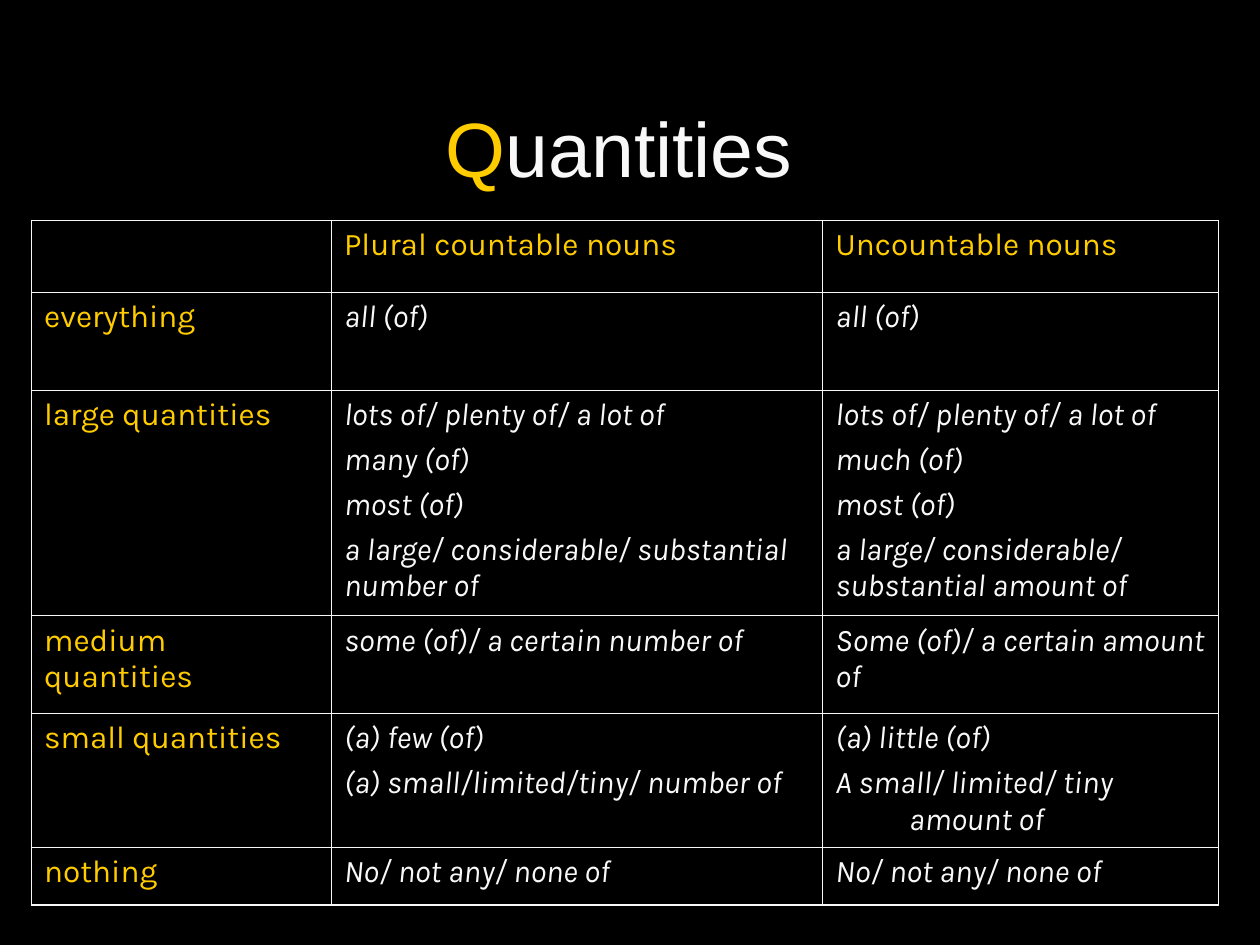
"""Build a slide that tabulates quantity expressions by kind of noun."""
import dataclasses

import lxml.etree
import pptx
import pptx.dml.color
import pptx.enum.text
import pptx.oxml.ns
import pptx.util

Pt = pptx.util.Pt
COLORS = {"background": "000000", "accent": "FFCC00", "light": "F8F8F8"}
THIN, THICK = 0.45, 1.08
COLUMN_WIDTHS = (171.4, 280.8, 226.1)
LABEL_FORMAT = {"size": Pt(18), "name": "Karla", "bold": False, "italic": False}
EXAMPLE_FORMAT = {**LABEL_FORMAT, "italic": True}
TITLE_FORMAT = {"size": Pt(44), "name": "Arial"}
CELL_MARGINS = {"margin_left": Pt(7.2), "margin_right": Pt(7.2),
                "margin_top": Pt(3.6), "margin_bottom": Pt(3.6)}


@dataclasses.dataclass(frozen=True)
class QuantityRow:
    height: float
    label: str
    countable: tuple[str, ...]
    uncountable: tuple[str, ...]
    hanging: float = 0


ROWS = (
    QuantityRow(41.2, "", ("Plural countable nouns",), ("Uncountable nouns",)),
    QuantityRow(55.8, "everything", ("all (of)",), ("all (of)",)),
    QuantityRow(128.9, "large quantities",
                ("lots of/ plenty of/ a lot of", "many (of)", "most (of)",
                 "a large/ considerable/ substantial number of"),
                ("lots of/ plenty of/ a lot of", "much (of)", "most (of)",
                 "a large/ considerable/ substantial amount of")),
    QuantityRow(55.8, "medium quantities", ("some (of)/ a certain number of",),
                ("Some (of)/ a certain amount of",)),
    QuantityRow(76.5, "small quantities",
                ("(a) few (of)", "(a) small/limited/tiny/ number of"),
                ("(a) little (of)", "A small/ limited/ tiny amount of"), 42),
    QuantityRow(33.2, "nothing", ("No/ not any/ none of",), ("No/ not any/ none of",)),
)


def rgb(color: str) -> pptx.dml.color.RGBColor:
    """Return the named palette colour."""
    return pptx.dml.color.RGBColor.from_string(COLORS[color])


def apply_format(target, values: dict) -> None:
    """Set every attribute listed in values."""
    for attribute, value in values.items():
        setattr(target, attribute, value)


def add_run(paragraph, text: str, font_format: dict, color: str) -> None:
    """Append a formatted run to a paragraph."""
    run = paragraph.add_run()
    run.text = text
    apply_format(run.font, font_format)
    run.font.color.rgb = rgb(color)


def set_borders(cell, widths: dict[str, float]) -> None:
    """Draw the cell borders, given by side in schema order."""
    properties = cell._tc.get_or_add_tcPr()
    for position, (side, width) in enumerate(widths.items()):
        line = lxml.etree.Element(pptx.oxml.ns.qn(f"a:ln{side}"), w=str(int(Pt(width))))
        fill = lxml.etree.SubElement(line, pptx.oxml.ns.qn("a:solidFill"))
        lxml.etree.SubElement(fill, pptx.oxml.ns.qn("a:srgbClr"), val=COLORS["light"])
        properties.insert(position, line)


def fill_cell(cell, lines: tuple[str, ...], is_label: bool, hanging: float) -> None:
    """Write one paragraph per line in the style of a label or an example."""
    apply_format(cell, CELL_MARGINS)
    cell.fill.background()
    for index, line in enumerate(lines):
        frame = cell.text_frame
        paragraph = frame.add_paragraph() if index else frame.paragraphs[0]
        paragraph.space_before = Pt(4.5)
        if hanging:
            indents = paragraph._p.get_or_add_pPr()
            indents.set("marL", str(int(Pt(hanging))))
            indents.set("indent", str(int(Pt(-hanging))))
        if line:
            add_run(paragraph, line, LABEL_FORMAT if is_label else EXAMPLE_FORMAT,
                    "accent" if is_label else "light")


def add_title(slide) -> None:
    """Place the title with its accented initial."""
    title = slide.shapes.title
    apply_format(title, {"left": Pt(36), "top": Pt(30), "width": Pt(648), "height": Pt(108)})
    title.text_frame.vertical_anchor = pptx.enum.text.MSO_ANCHOR.MIDDLE
    heading = title.text_frame.paragraphs[0]
    heading.alignment = pptx.enum.text.PP_ALIGN.CENTER
    add_run(heading, "Q", TITLE_FORMAT, "accent")
    add_run(heading, "uantities ", TITLE_FORMAT, "light")


def add_quantities(slide) -> None:
    """Build the table of quantity expressions."""
    table = slide.shapes.add_table(
        len(ROWS), len(COLUMN_WIDTHS), Pt(18), Pt(126),
        Pt(sum(COLUMN_WIDTHS)), Pt(sum(row.height for row in ROWS))).table
    apply_format(table, {"first_row": False, "horz_banding": False})
    for column, width in zip(table.columns, COLUMN_WIDTHS):
        column.width = Pt(width)
    last_row, last_column = len(ROWS) - 1, len(COLUMN_WIDTHS) - 1
    for r, row in enumerate(ROWS):
        table.rows[r].height = Pt(row.height)
        for c, lines in enumerate(((row.label,), row.countable, row.uncountable)):
            cell = table.cell(r, c)
            fill_cell(cell, lines, r == 0 or c == 0, row.hanging if c else 0)
            outer_sides = {"L": c == 0, "R": c == last_column, "T": r == 0, "B": r == last_row}
            set_borders(cell, {side: THICK if outer else THIN
                               for side, outer in outer_sides.items()})


def main() -> None:
    """Create and save the presentation."""
    presentation = pptx.Presentation()
    apply_format(presentation, {"slide_width": Pt(720), "slide_height": Pt(540)})
    slide = presentation.slides.add_slide(presentation.slide_layouts[5])
    slide.background.fill.solid()
    slide.background.fill.fore_color.rgb = rgb("background")
    add_title(slide)
    add_quantities(slide)
    presentation.save("out.pptx")


if __name__ == "__main__":
    main()
